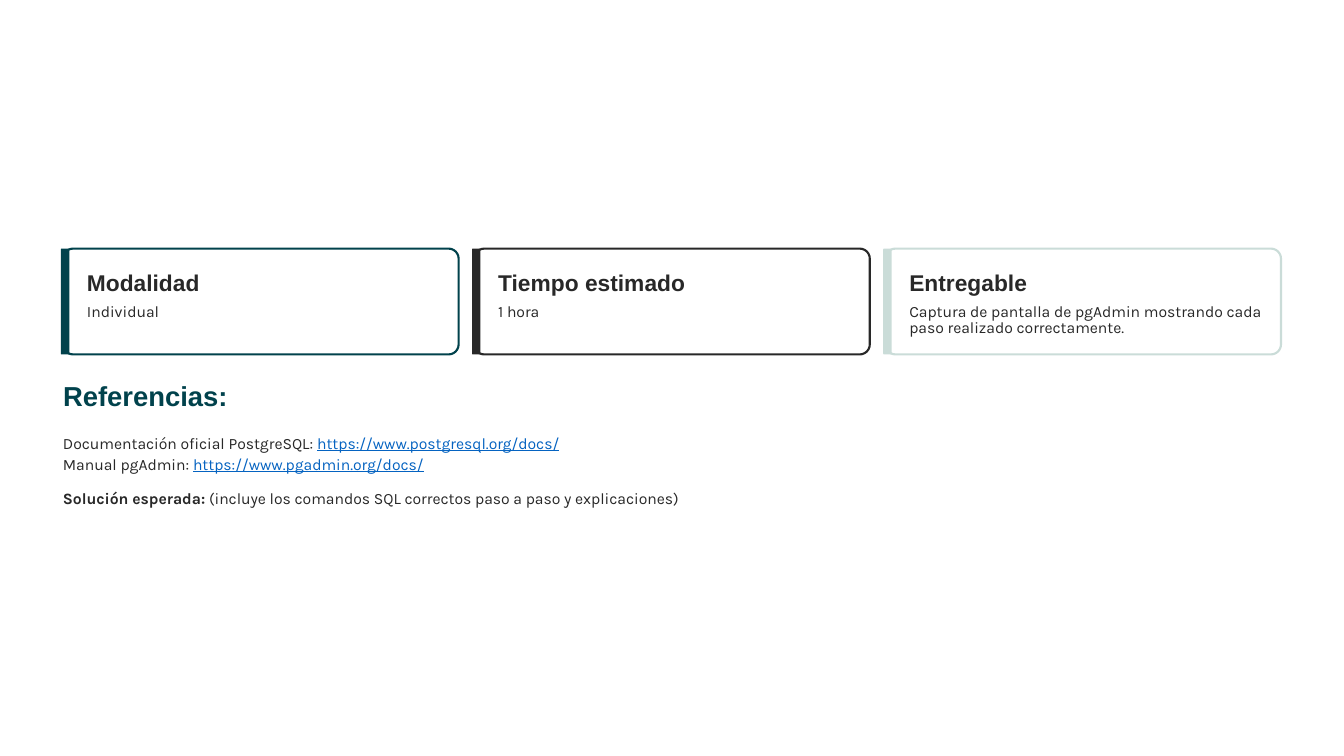
from pptx import Presentation
from pptx.dml.color import RGBColor
from pptx.enum import shapes
from pptx.util import Inches, Pt

TEAL = RGBColor(0x01, 0x42, 0x4C)
DARK = RGBColor(0x28, 0x28, 0x28)
MINT = RGBColor(0xCA, 0xDC, 0xD8)
WHITE = RGBColor(0xFF, 0xFF, 0xFF)
LINK_BLUE = RGBColor(0x05, 0x63, 0xC1)

CARDS = [
    ("Modalidad", "Individual", TEAL),
    ("Tiempo estimado", "1 hora", DARK),
    ("Entregable",
     "Captura de pantalla de pgAdmin mostrando cada paso realizado correctamente.",
     MINT),
]
REFERENCES_TITLE = "Referencias:"
REFERENCES = [
    ("Documentación oficial PostgreSQL: ", "https://www.postgresql.org/docs/"),
    ("Manual pgAdmin: ", "https://www.pgadmin.org/docs/"),
]
SOLUTION = ("Solución esperada:",
            " (incluye los comandos SQL correctos paso a paso y explicaciones)")

MARGIN, CARD_TOP = 0.75, 2.96
CARD_WIDTH, CARD_HEIGHT, CARD_STEP = 4.71, 1.26, 4.895
BAR_WIDTH, BAR_OVERHANG, CARD_PADDING = 0.1, 0.025, 0.285
CONTENT_WIDTH = 14.5
REFERENCES_TOP, REFERENCE_STEP = 5.2, 0.25


def add_rounded(slide, left, width, radius, fill, outline=None):
    """Add a rounded rectangle on the card row."""
    box = slide.shapes.add_shape(
        shapes.MSO_SHAPE.ROUNDED_RECTANGLE, Inches(left), Inches(CARD_TOP),
        Inches(width), Inches(CARD_HEIGHT))
    box.adjustments[0] = radius
    box.shadow.inherit = False
    box.fill.solid()
    box.fill.fore_color.rgb = fill
    if outline is None:
        box.line.fill.background()
    else:
        box.line.color.rgb = outline
        box.line.width = Pt(1.8)


def add_text(slide, left, top, width, height, parts, font="Karla", size=13.5,
             spacing=13.5, color=DARK, bold=None, wrap=False):
    """Add a one-paragraph text box and return its runs."""
    box = slide.shapes.add_textbox(
        Inches(left), Inches(top), Inches(width), Inches(height))
    frame = box.text_frame
    frame.margin_left = frame.margin_right = 0
    frame.margin_top = frame.margin_bottom = 0
    frame.word_wrap = wrap
    paragraph = frame.paragraphs[0]
    paragraph.line_spacing = Pt(spacing)
    paragraph.font.name = font
    paragraph.font.size = Pt(size)
    paragraph.font.bold = bold
    paragraph.font.color.rgb = color
    for part in parts:
        paragraph.add_run().text = part
    return paragraph.runs


def add_card(slide, left, title, detail, color):
    add_rounded(slide, left, CARD_WIDTH, 0.095, WHITE, color)
    add_rounded(slide, left - BAR_OVERHANG, BAR_WIDTH, 0.1, color)
    text_left = left + CARD_PADDING
    add_text(slide, text_left, 3.18, 2.76, 0.34, [title],
             font="Arial", size=19.5, spacing=24.5, bold=True)
    add_text(slide, text_left, 3.63, 4.21, 0.38, [detail], wrap=True)


def main():
    deck = Presentation()
    deck.slide_width, deck.slide_height = Inches(16), Inches(9)
    slide = deck.slides.add_slide(deck.slide_layouts[6])

    for index, card in enumerate(CARDS):
        add_card(slide, MARGIN + index * CARD_STEP, *card)

    add_text(slide, MARGIN, 4.5, 3.31, 0.41, [REFERENCES_TITLE],
             font="Arial", size=23.5, spacing=29.5, color=TEAL, bold=True)

    for index, reference in enumerate(REFERENCES):
        top = REFERENCES_TOP + index * REFERENCE_STEP
        label, address = add_text(
            slide, MARGIN, top, CONTENT_WIDTH, 0.19, reference)
        address.font.color.rgb = LINK_BLUE
        address.font.underline = True

    heading, note = add_text(
        slide, MARGIN, 5.85, CONTENT_WIDTH, 0.19, SOLUTION)
    heading.font.bold = True

    deck.save("out.pptx")


if __name__ == "__main__":
    main()
